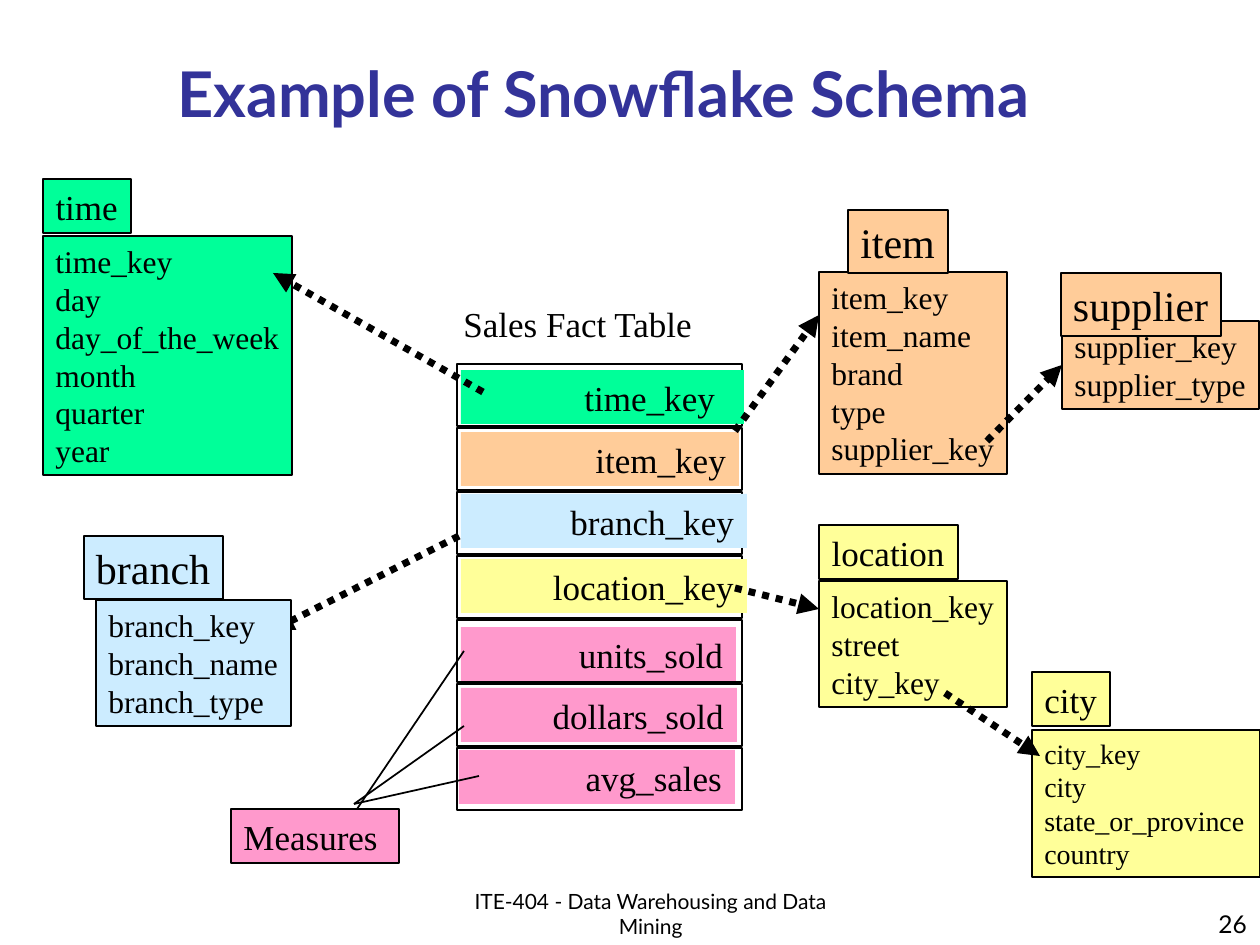
from dataclasses import dataclass

from lxml import etree
from pptx import Presentation
from pptx.dml.color import RGBColor
from pptx.enum import dml, shapes, text
from pptx.oxml import ns
from pptx import util as u

SCALE = 914400 / 126


@dataclass(frozen=True)
class Theme:
    """Colours, fonts and type sizes of the slide."""
    sans: str = "Lato"
    serif: str = "Times New Roman"
    ink: str = "000000"
    heading: str = "333399"
    time: str = "00FF99"
    item: str = "FFCC99"
    branch: str = "CCECFF"
    location: str = "FFFF99"
    measure: str = "FF99CC"
    title_size: int = 36
    name_size: int = 24
    label_size: int = 20
    field_size: int = 18
    small_size: int = 16
    number_size: int = 14
    footer_size: int = 12


THEME = Theme()
ALIGN = text.PP_ALIGN
ANCHOR = text.MSO_ANCHOR


def px(*lengths):
    """Turn pixel lengths into EMU."""
    return [u.Emu(round(length * SCALE)) for length in lengths]


def write(shape, lines, size, font=THEME.serif, color=THEME.ink, bold=False,
          align=ALIGN.LEFT, anchor=ANCHOR.TOP, wrap=False, right=13):
    """Fill a shape with one paragraph per line."""
    frame = shape.text_frame
    frame_format = {"word_wrap": wrap, "vertical_anchor": anchor,
                    "margin_left": u.Inches(0.1), "margin_right": px(right)[0],
                    "margin_top": u.Inches(0.05), "margin_bottom": u.Inches(0.05)}
    for name, value in frame_format.items():
        setattr(frame, name, value)
    frame.text = "\n".join(lines)
    for para in frame.paragraphs:
        para.alignment = align
        for name, value in {"name": font, "size": u.Pt(size), "bold": bold}.items():
            setattr(para.font, name, value)
        para.font.color.rgb = RGBColor.from_string(color)


def add_box(parent, box, fill=None, line=None):
    """Add a rectangle with an optional fill and outline."""
    shape = parent.shapes.add_shape(shapes.MSO_SHAPE.RECTANGLE, *px(*box))
    shape.shadow.inherit = False
    if fill:
        shape.fill.solid()
        shape.fill.fore_color.rgb = RGBColor.from_string(fill)
    else:
        shape.fill.background()
    if line:
        shape.line.width = u.Pt(line)
        shape.line.color.rgb = RGBColor.from_string(THEME.ink)
    else:
        shape.line.fill.background()
    return shape


def add_label(page, box, words, size, **options):
    """Add a plain text box."""
    label = page.shapes.add_textbox(*px(*box))
    write(label, [words], size, **options)


def add_line(page, start, end, width=1):
    """Add a straight black line."""
    line = page.shapes.add_connector(shapes.MSO_CONNECTOR.STRAIGHT, *px(*start, *end))
    line.line.width = u.Pt(width)
    line.line.color.rgb = RGBColor.from_string(THEME.ink)
    etree.SubElement(line._element.spPr, ns.qn("a:effectLst"))
    return line


def add_arrow(page, start, end):
    """Add a dotted line with an arrowhead at its end."""
    arrow = add_line(page, start, end, 4)
    arrow.line.dash_style = dml.MSO_LINE.ROUND_DOT
    etree.SubElement(arrow.line._get_or_add_ln(), ns.qn("a:tailEnd"), type="triangle")
    return arrow


def dimension_table(page, box, fill, name, head, fields, name_size=THEME.label_size,
                    field_size=THEME.field_size):
    """Place a field list in the box and its name tab relative to it."""
    left, top, _, _ = box
    shift, rise, width, height = head
    group = page.shapes.add_group_shape()
    body = add_box(group, box, fill, 0.75)
    write(body, fields, field_size)
    tab = add_box(group, (left + shift, top - rise, width, height), fill, 0.75)
    write(tab, [name], name_size, align=ALIGN.CENTER, anchor=ANCHOR.MIDDLE)
    return body


def fact_table(page, box):
    """Place the fact table's caption, frames and coloured rows."""
    left, top, width, height = box
    rows = [("time_key", THEME.time, 4, 6, 283, 29),
            ("item_key", THEME.item, 4, 4, 278, 13),
            ("branch_key", THEME.branch, 4, 2, 286, 13),
            ("location_key", THEME.location, 4, 3, 286, 13),
            ("units_sold", THEME.measure, 4, 7, 275, 13),
            ("dollars_sold", THEME.measure, 4, 4, 276, 13),
            ("avg_sales", THEME.measure, 2, 2, 276, 13)]
    pitch = (height + 2) // len(rows)
    add_label(page, (left - 6, top - 68, 257, 54), "Sales Fact Table", THEME.label_size)
    for index, (field, fill, inset, drop, span, right) in enumerate(rows):
        row_top = top + index * pitch
        add_box(page, (left, row_top, width, pitch - 2), line=1)
        band = add_box(page, (left + inset, row_top + drop, span, 54), fill)
        write(band, [field], THEME.label_size, align=ALIGN.RIGHT, wrap=True, right=right)


def measures(page, box):
    """Place the measures label and its lines to the fact rows."""
    left, top, _, _ = box
    label = add_box(page, box, THEME.measure, 0.75)
    write(label, ["Measures"], THEME.label_size, wrap=True)
    for start, end in [((126, 0), (233, -158)), ((123, -5), (233, -83)),
                       ((123, -5), (248, -33))]:
        add_line(page, (left + start[0], top + start[1]), (left + end[0], top + end[1]))


def title(page, box):
    """Place the slide title."""
    heading = page.shapes.title
    for name, value in zip(("left", "top", "width", "height"), px(*box)):
        setattr(heading, name, value)
    write(heading, ["Example of Snowflake Schema"], THEME.title_size, THEME.sans,
          THEME.heading, True, ALIGN.CENTER, ANCHOR.BOTTOM, True)


def footer(page, box):
    """Place the course name and page number along the bottom."""
    left, top, width, height = box
    style = {"font": THEME.sans, "anchor": ANCHOR.BOTTOM, "wrap": True}
    add_label(page, (left + 451, top + 10, 400, height - 10),
              "ITE-404 - Data Warehousing and Data Mining", THEME.footer_size,
              align=ALIGN.CENTER, **style)
    add_label(page, (left + width - 262, top, 262, height), "26", THEME.number_size,
              align=ALIGN.RIGHT, **style)


def schema(page):
    """Place the tables and the arrows between them."""
    dimension_table(page, (43, 236, 249, 239), THEME.time, "time", (0, 57, 88, 54),
                    ["time_key", "day", "day_of_the_week", "month", "quarter", "year"])
    dimension_table(page, (819, 581, 188, 126), THEME.location, "location",
                    (0, 56, 139, 54), ["location_key", "street", "city_key"])
    fact_table(page, (457, 364, 285, 446))
    measures(page, (231, 809, 168, 54))
    for start, end in [((459, 536), (273, 630)), ((483, 392), (273, 273)),
                       ((735, 588), (819, 609)), ((735, 431), (819, 315))]:
        add_arrow(page, start, end)
    dimension_table(page, (819, 272, 188, 202), THEME.item, "item", (29, 62, 100, 63),
                    ["item_key", "item_name", "brand", "type", "supplier_key"],
                    THEME.name_size)
    dimension_table(page, (96, 600, 195, 126), THEME.branch, "branch", (-12, 64, 139, 63),
                    ["branch_key", "branch_name", "branch_type"], THEME.name_size)
    supplier = dimension_table(page, (1062, 321, 197, 88), THEME.item, "supplier",
                               (-1, 48, 160, 63), ["supplier_key", "supplier_type"],
                               THEME.name_size)
    add_arrow(page, (987, 441), (1061, 368)).end_connect(supplier, 1)
    dimension_table(page, (1032, 730, 228, 147), THEME.location, "city", (0, 58, 78, 54),
                    ["city_key", "city", "state_or_province", "country"],
                    field_size=THEME.small_size)
    add_arrow(page, (945, 693), (1040, 756))


def main():
    """Build and save the deck."""
    deck = Presentation()
    deck.slide_width, deck.slide_height = px(1260, 945)
    page = deck.slides.add_slide(deck.slide_layouts[5])
    footer(page, (0, 882, 1260, 63))
    title(page, (68, 68, 1071, 68))
    schema(page)
    deck.save("out.pptx")


if __name__ == "__main__":
    main()
